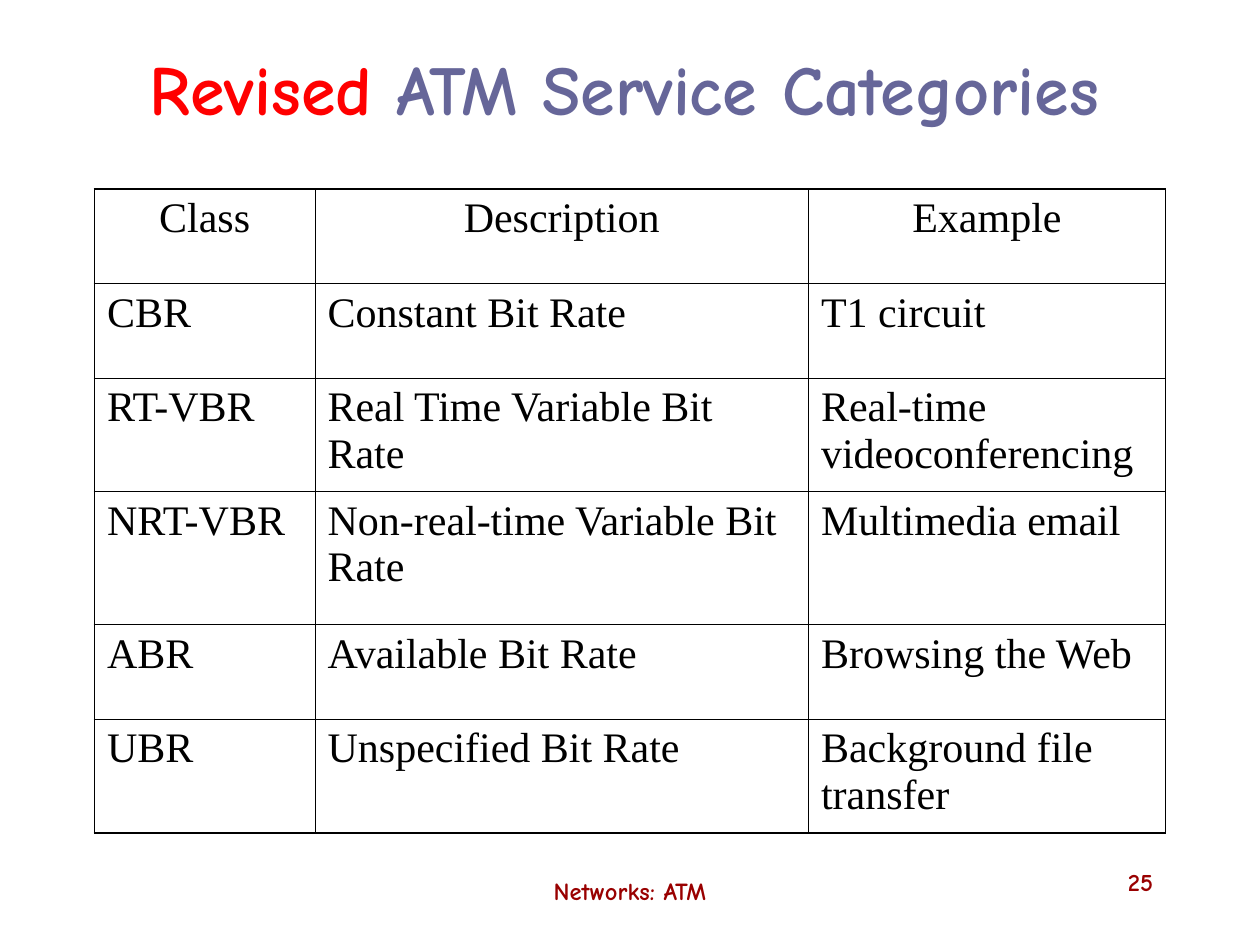
from pptx import Presentation
from pptx.dml.color import RGBColor
from pptx.enum.text import MSO_ANCHOR as Anchor, PP_ALIGN as Align
from pptx.oxml.ns import qn
from pptx.util import Pt
from lxml.etree import SubElement

RED = RGBColor(0xFF, 0x00, 0x00)
SLATE = RGBColor(0x66, 0x66, 0x99)
MAROON = RGBColor(0x99, 0x00, 0x00)
BLACK = RGBColor(0x00, 0x00, 0x00)
HEADING_FONT = "Comic Neue"
BODY_FONT = "Times New Roman"
THIN, THICK = 0.45, 1.08
COLUMN_WIDTHS = [126, 282, 204]
ROW_HEIGHTS = [54, 54, 65, 76, 54, 65]
CATEGORIES = [
    ("Class", "Description", "Example"),
    ("CBR", "Constant Bit Rate", "T1 circuit"),
    ("RT-VBR", "Real Time Variable Bit Rate", "Real-time videoconferencing"),
    ("NRT-VBR", "Non-real-time Variable Bit Rate", "Multimedia email"),
    ("ABR", "Available Bit Rate", "Browsing the Web"),
    ("UBR", "Unspecified Bit Rate", "Background file transfer"),
]


def add_text(para, text, size=24, font=BODY_FONT, color=BLACK, bold=False, align=Align.LEFT):
    """Append a formatted span to a paragraph."""
    para.alignment = align
    span = para.add_run()
    span.text = text
    span.font.size = Pt(size)
    span.font.name = font
    span.font.color.rgb = color
    span.font.bold = bold


def place_title(page, left, top, width, height):
    """Position the title and write its two coloured spans."""
    title = page.shapes.title
    title.left, title.top, title.width, title.height = map(Pt, (left, top, width, height))
    title.text_frame.vertical_anchor = Anchor.MIDDLE
    para = title.text_frame.paragraphs[0]
    for text, color in (("Revised", RED), (" ATM Service Categories", SLATE)):
        add_text(para, text, size=40, font=HEADING_FONT, color=color, bold=True, align=Align.CENTER)


def place_footer(page, text, align, left, top, width, height):
    """Add one footer text box."""
    box = page.shapes.add_textbox(Pt(left), Pt(top), Pt(width), Pt(height))
    box.text_frame.word_wrap = True
    add_text(box.text_frame.paragraphs[0], text, size=14, font=HEADING_FONT,
             color=MAROON, bold=True, align=align)


def set_borders(cell, widths):
    """Draw black borders on a cell, given left, right, top and bottom widths."""
    properties = cell._tc.get_or_add_tcPr()
    for side, width in zip(("lnL", "lnR", "lnT", "lnB"), widths):
        line = SubElement(properties, qn(f"a:{side}"), w=str(Pt(width)))
        fill = SubElement(line, qn("a:solidFill"))
        SubElement(fill, qn("a:srgbClr"), val=str(BLACK))


def place_table(page, left, top):
    """Add the category table with a heavier outer frame."""
    last_row, last_column = len(ROW_HEIGHTS) - 1, len(COLUMN_WIDTHS) - 1
    table = page.shapes.add_table(
        last_row + 1, last_column + 1, Pt(left), Pt(top),
        Pt(sum(COLUMN_WIDTHS)), Pt(sum(ROW_HEIGHTS))).table
    table.first_row = table.horz_banding = False
    for column, width in zip(table.columns, COLUMN_WIDTHS):
        column.width = Pt(width)
    for row, height in zip(table.rows, ROW_HEIGHTS):
        row.height = Pt(height)
    for row_index, texts in enumerate(CATEGORIES):
        for column_index, text in enumerate(texts):
            cell = table.cell(row_index, column_index)
            outer = (column_index == 0, column_index == last_column,
                     row_index == 0, row_index == last_row)
            set_borders(cell, [THICK if edge else THIN for edge in outer])
            cell.fill.background()
            add_text(cell.text_frame.paragraphs[0], text,
                     align=Align.LEFT if row_index else Align.CENTER)


def main():
    """Build and save the slide."""
    deck = Presentation()
    deck.slide_width, deck.slide_height = Pt(720), Pt(540)
    page = deck.slides.add_slide(deck.slide_layouts[5])
    place_footer(page, "Networks: ATM", Align.CENTER, 246, 497, 228, 30)
    place_footer(page, "25", Align.RIGHT, 516, 492, 150, 36)
    place_title(page, 31, 9.5, 651.5, 81)
    place_table(page, 54, 108)
    deck.save("out.pptx")


if __name__ == "__main__":
    main()
